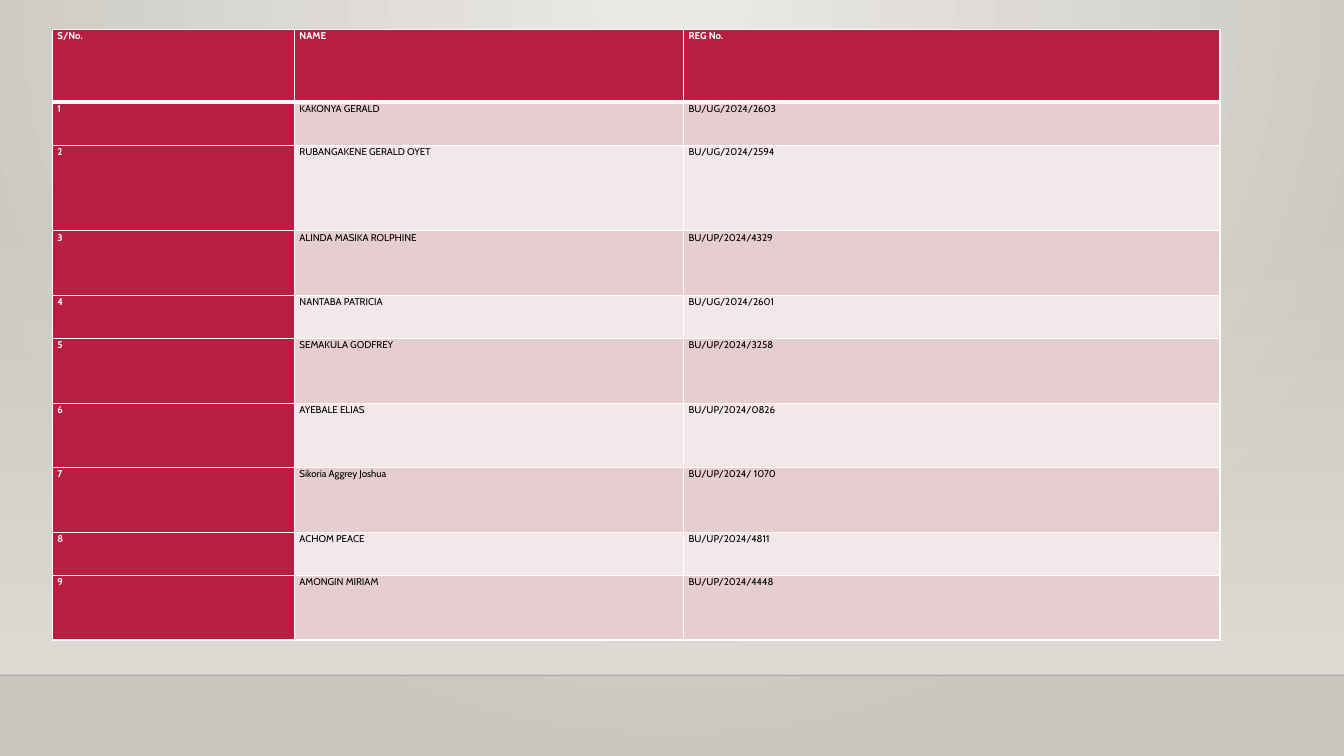
from dataclasses import dataclass

from lxml import etree
from pptx import Presentation
from pptx.dml.color import RGBColor
from pptx.enum.shapes import MSO_CONNECTOR, MSO_SHAPE
from pptx.oxml import parse_xml
from pptx.oxml.ns import qn
from pptx.util import Inches, Pt

RECTANGLE = MSO_SHAPE.RECTANGLE
STRAIGHT = MSO_CONNECTOR.STRAIGHT
NAMESPACE = 'xmlns:a="http://schemas.openxmlformats.org/drawingml/2006/main"'


@dataclass(frozen=True)
class Theme:
    font: str = "Cabin"
    size: float = 7
    line_spacing: float = 1.07
    accent: str = "B71E42"
    bands: tuple = ("E6CDCF", "F3E8E9")
    light: str = "FFFFFF"
    dark: str = "000000"
    floor_line: str = "000001"
    wall: str = "DFDBD5"
    glow: str = "ECEAE7"
    shade: str = "CAC7C1"
    border: float = 1
    header_border: float = 3


THEME = Theme()
PAGE_WIDTH, PAGE_HEIGHT = 13.33, 7.5
FLOOR_TOP, WALL_TOP = 6.7, 2.21
RADIAL = ('<a:path path="circle">'
          '<a:fillToRect l="43000" t="0" r="43000" b="100000"/></a:path>')
DOWNWARD = '<a:lin ang="5400000" scaled="0"/>'

COLUMN_WIDTHS = (2.4, 3.86, 5.32)
HEADER = ("S/No.", "NAME", "REG No.")
HEADER_HEIGHT = 0.72
STUDENTS = (  # name, registration number, row height
    ("KAKONYA GERALD", "BU/UG/2024/2603", 0.43),
    ("RUBANGAKENE GERALD OYET", "BU/UG/2024/2594", 0.85),
    ("ALINDA MASIKA ROLPHINE", "BU/UP/2024/4329", 0.64),
    ("NANTABA PATRICIA", "BU/UG/2024/2601", 0.43),
    ("SEMAKULA GODFREY", "BU/UP/2024/3258", 0.64),
    ("AYEBALE ELIAS", "BU/UP/2024/0826", 0.64),
    ("Sikoria Aggrey Joshua", "BU/UP/2024/ 1070", 0.64),
    ("ACHOM PEACE", "BU/UP/2024/4811", 0.43),
    ("AMONGIN MIRIAM", "BU/UP/2024/4448", 0.64),
)


def set_gradient(holder, stops, direction):
    """Swap the solid fill in holder for a gradient of (colour, opacity %)."""
    marks = "".join(
        f'<a:gs pos="{position}"><a:srgbClr val="{color}">'
        f'<a:alpha val="{opacity * 1000}"/></a:srgbClr></a:gs>'
        for position, (color, opacity) in zip((0, 100000), stops))
    gradient = parse_xml(f'<a:gradFill {NAMESPACE} rotWithShape="1">'
                         f'<a:gsLst>{marks}</a:gsLst>{direction}</a:gradFill>')
    solid = holder.find(f".//{qn('a:solidFill')}")
    solid.getparent().replace(solid, gradient)


def add_backdrop(page):
    # Radial glow over the whole page
    page.background.fill.solid()
    set_gradient(page.element, ((THEME.glow, 100), (THEME.shade, 100)), RADIAL)

    # Wall that fades in downwards
    wall = page.shapes.add_shape(RECTANGLE, 0, Inches(WALL_TOP), Inches(PAGE_WIDTH),
                                 Inches(FLOOR_TOP - WALL_TOP))
    wall.shadow.inherit = False
    wall.line.fill.background()
    wall.fill.solid()
    set_gradient(wall.element.spPr, ((THEME.wall, 0), (THEME.wall, 100)), DOWNWARD)

    # Faint line where the wall meets the floor
    edge = page.shapes.add_connector(STRAIGHT, 0, Inches(FLOOR_TOP),
                                     Inches(PAGE_WIDTH), Inches(FLOOR_TOP))
    edge.line.width = Pt(1)
    edge.line.color.rgb = RGBColor.from_string(THEME.floor_line)
    color = edge.element.spPr.find(f".//{qn('a:srgbClr')}")
    etree.SubElement(color, qn("a:alpha"), val="20000")
    etree.SubElement(edge.element.spPr, qn("a:effectLst"))


def set_borders(cell, top, bottom):
    widths = {"lnL": THEME.border, "lnR": THEME.border, "lnT": top, "lnB": bottom}
    properties = cell._tc.get_or_add_tcPr()
    for index, (side, width) in enumerate(widths.items()):
        properties.insert(index, parse_xml(
            f'<a:{side} {NAMESPACE} w="{Pt(width)}"><a:solidFill>'
            f'<a:srgbClr val="{THEME.light}"/></a:solidFill></a:{side}>'))


def fill_cell(cell, text, fill, heading):
    margins = {"margin_left": Inches(0.05), "margin_right": Inches(0.05),
               "margin_top": 0, "margin_bottom": 0}
    for name, value in margins.items():
        setattr(cell, name, value)
    cell.fill.solid()
    cell.fill.fore_color.rgb = RGBColor.from_string(fill)
    para = cell.text_frame.paragraphs[0]
    para.line_spacing = THEME.line_spacing
    span = para.add_run()
    span.text = text
    formats = {"name": THEME.font, "size": Pt(THEME.size), "bold": heading}
    for name, value in formats.items():
        setattr(span.font, name, value)
    span.font.color.rgb = RGBColor.from_string(THEME.light if heading else THEME.dark)


def add_student_table(page):
    rows = [HEADER] + [(str(number), name, registration) for number,
                       (name, registration, _) in enumerate(STUDENTS, 1)]
    heights = [HEADER_HEIGHT] + [height for _, _, height in STUDENTS]
    table = page.shapes.add_table(
        len(rows), len(HEADER), Inches(0.52), Inches(0.29),
        Inches(sum(COLUMN_WIDTHS)), Inches(sum(heights))).table
    for column, width in zip(table.columns, COLUMN_WIDTHS):
        column.width = Inches(width)
    for row, height in zip(table.rows, heights):
        row.height = Inches(height)

    # Accent header row and number column, banded body
    for row_index, texts in enumerate(rows):
        top = THEME.header_border if row_index == 1 else THEME.border
        bottom = THEME.header_border if row_index == 0 else THEME.border
        for column_index, text in enumerate(texts):
            heading = row_index == 0 or column_index == 0
            fill = THEME.accent if heading else THEME.bands[(row_index - 1) % 2]
            cell = table.cell(row_index, column_index)
            fill_cell(cell, text, fill, heading)
            set_borders(cell, top, bottom)


def main():
    deck = Presentation()
    deck.slide_width = Inches(PAGE_WIDTH)
    deck.slide_height = Inches(PAGE_HEIGHT)
    page = deck.slides.add_slide(deck.slide_layouts[6])
    add_backdrop(page)
    add_student_table(page)
    deck.save("out.pptx")


if __name__ == "__main__":
    main()
